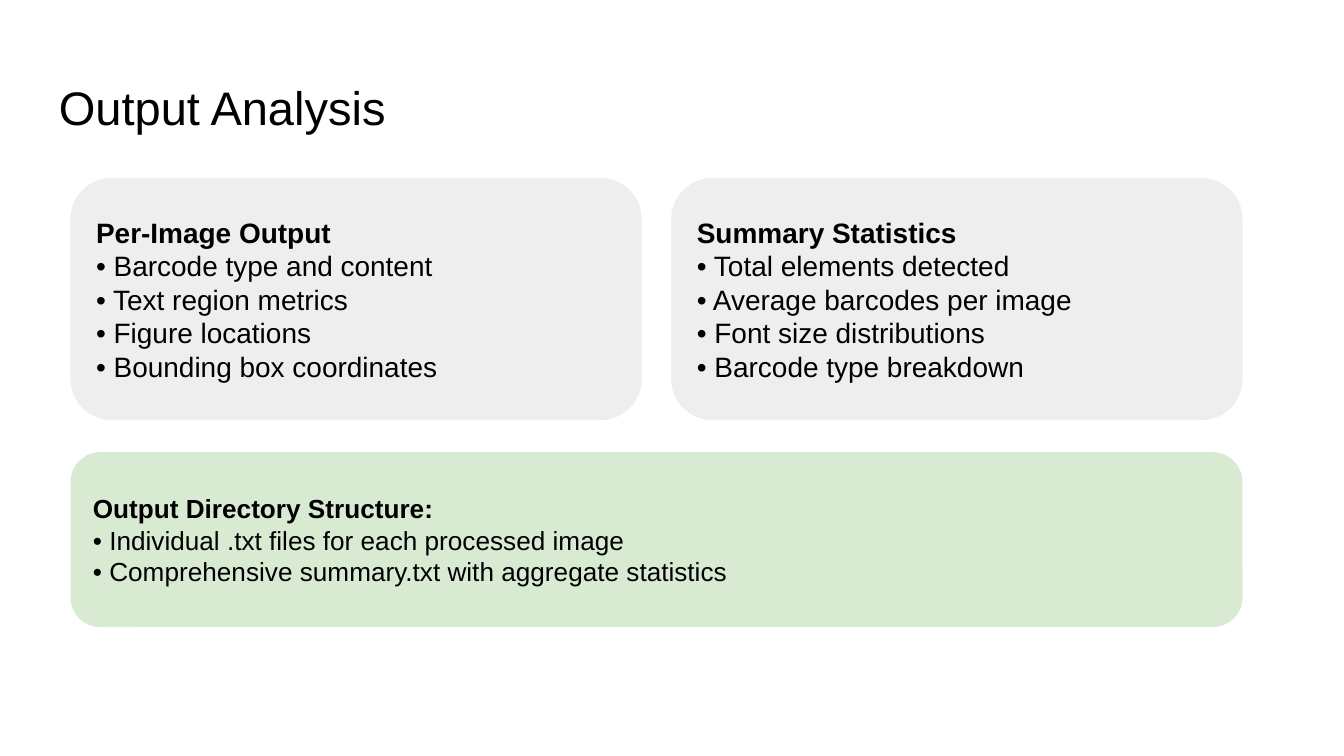
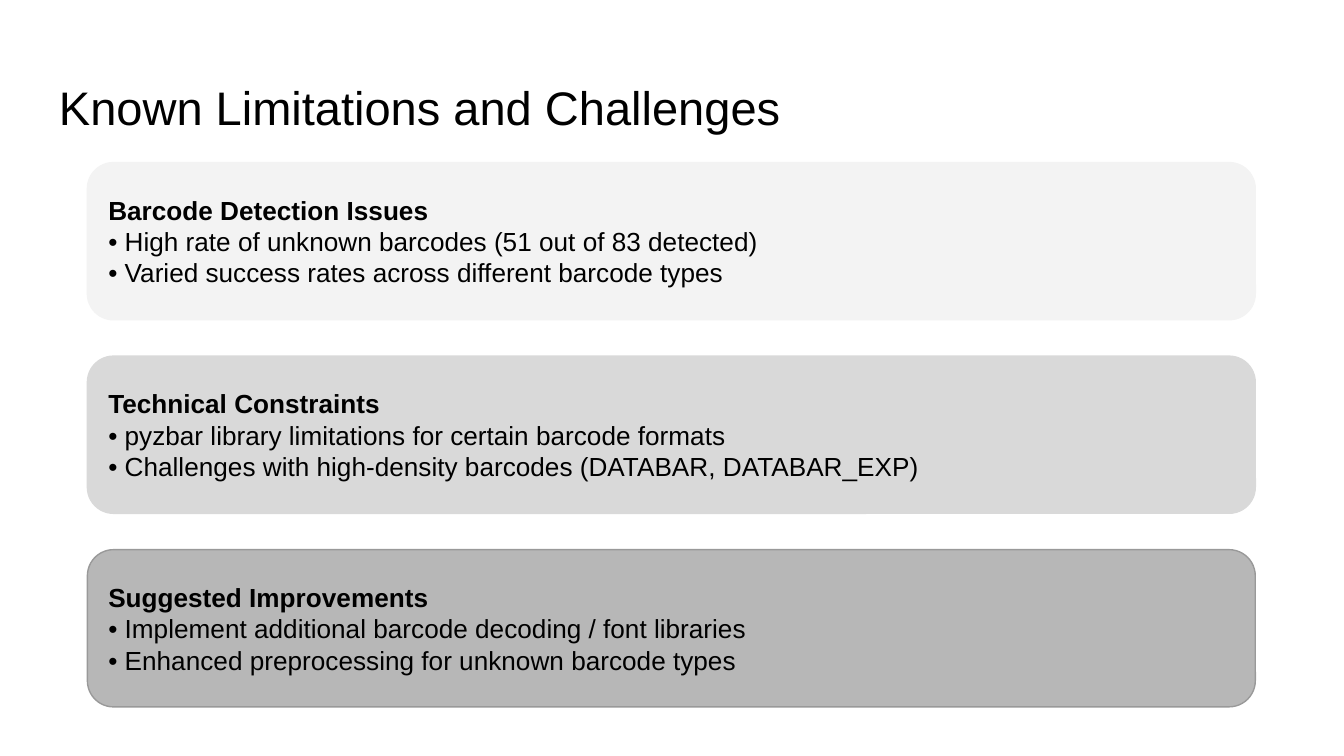
from pptx import Presentation
from pptx.dml.color import RGBColor as RGB
from pptx.enum.shapes import MSO_SHAPE as Shape
from pptx.enum.text import MSO_ANCHOR as Anchor, PP_ALIGN as Align
from pptx.util import Emu, Pt

SCALE = 4572
BLACK = RGB(0x00, 0x00, 0x00)
GREEN = RGB(0xD9, 0xEA, 0xD3)
SILVER = RGB(0xEE, 0xEE, 0xEE)
PALE = RGB(0xF3, 0xF3, 0xF3)
LIGHT = RGB(0xD9, 0xD9, 0xD9)
GRAY = RGB(0xB7, 0xB7, 0xB7)
EDGE = RGB(0x99, 0x99, 0x99)


def px(*sizes):
    return [Emu(size * SCALE) for size in sizes]


def write(frame, lines, size=14, bold=False, anchor=Anchor.MIDDLE):
    frame.word_wrap = True
    frame.vertical_anchor = anchor
    frame.margin_left = frame.margin_top = frame.margin_right = frame.margin_bottom = Emu(20 * SCALE)
    for row, line in enumerate(lines):
        para = frame.paragraphs[0] if row == 0 else frame.add_paragraph()
        para.alignment = Align.LEFT
        run = para.add_run()
        run.text = line
        run.font.name = "Arial"
        run.font.size = Pt(size)
        run.font.bold = bold and row == 0
        run.font.color.rgb = BLACK


class Deck:
    def __init__(self):
        self.deck = Presentation()
        self.deck.slide_width, self.deck.slide_height = px(2000, 1125)
        self.slide = None

    def page(self, title):
        self.slide = self.deck.slides.add_slide(self.deck.slide_layouts[6])
        box = self.slide.shapes.add_textbox(*px(68, 97, 1864, 125))
        write(box.text_frame, [title], size=25.2, anchor=Anchor.TOP)

    def card(self, area, fill, head, items, size=14, edge=None):
        card = self.slide.shapes.add_shape(Shape.ROUNDED_RECTANGLE, *px(*area))
        card.shadow.inherit = False
        card.fill.solid()
        card.fill.fore_color.rgb = fill
        card.line.color.rgb = edge or fill
        card.line.width = Pt(0.75)
        lines = [head] + [f"• {item}" for item in items]
        write(card.text_frame, lines, size=size, bold=True)


def output(deck):
    deck.page("Output Analysis")
    deck.card((106, 674, 1742, 258), GREEN, "Output Directory Structure:", [
        "Individual .txt files for each processed image",
        "Comprehensive summary.txt with aggregate statistics",
    ])
    cards = [
        ("Per-Image Output", [
            "Barcode type and content",
            "Text region metrics",
            "Figure locations",
            "Bounding box coordinates",
        ]),
        ("Summary Statistics", [
            "Total elements detected",
            "Average barcodes per image",
            "Font size distributions",
            "Barcode type breakdown",
        ]),
    ]
    for col, (head, items) in enumerate(cards):
        deck.card((106 + col * 894, 266, 848, 358), SILVER, head, items, size=15)


def limits(deck):
    deck.page("Known Limitations and Challenges")
    cards = [
        (PALE, PALE, "Barcode Detection Issues", [
            "High rate of unknown barcodes (51 out of 83 detected)",
            "Varied success rates across different barcode types",
        ]),
        (LIGHT, LIGHT, "Technical Constraints", [
            "pyzbar library limitations for certain barcode formats",
            "Challenges with high-density barcodes (DATABAR, DATABAR_EXP)",
        ]),
        (GRAY, EDGE, "Suggested Improvements", [
            "Implement additional barcode decoding / font libraries",
            "Enhanced preprocessing for unknown barcode types",
        ]),
    ]
    for row, (fill, edge, head, items) in enumerate(cards):
        deck.card((130, 242 + row * 288, 1738, 234), fill, head, items, edge=edge)


def main():
    deck = Deck()
    output(deck)
    limits(deck)
    deck.deck.save("out.pptx")


if __name__ == "__main__":
    main()
